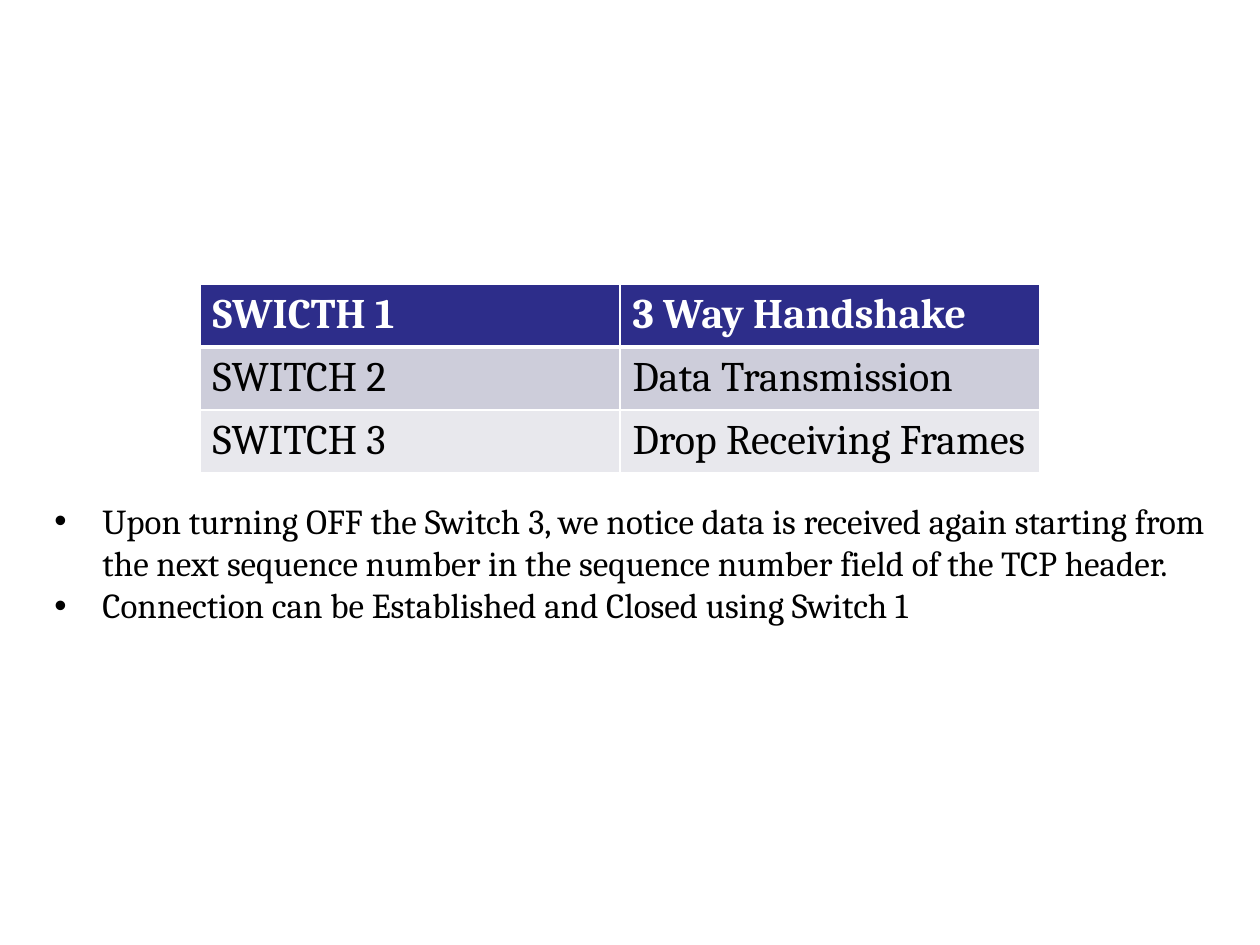
from lxml import etree
from pptx import Presentation
from pptx.dml.color import RGBColor
from pptx.enum.text import PP_ALIGN
from pptx.oxml.ns import qn
from pptx.util import Pt

JUSTIFY = PP_ALIGN.JUSTIFY
PX = 914400 / 126
THEME = {
    "font": "Cambria", "table_size": 24, "notes_size": 20,
    "header": "2D2D8A", "bands": ["CDCDDA", "E8E8ED"],
    "light": "FFFFFF", "dark": "000000",
}


def px(length):
    return round(length * PX)


def style(paragraph, size, color, bold=False):
    for run in paragraph.runs:
        run.font.name = THEME["font"]
        run.font.size = Pt(size)
        run.font.bold = bold
        run.font.color.rgb = RGBColor.from_string(color)


prs = Presentation()
prs.slide_width, prs.slide_height = px(1260), px(945)
slide = prs.slides.add_slide(prs.slide_layouts[6])

# Findings below the table
findings = [
    "Upon turning OFF the Switch 3, we notice data is received again starting from "
    "the next sequence number in the sequence number field of the TCP header.",
    "Connection can be Established and Closed using Switch 1",
]
findings_frame = slide.shapes.add_textbox(px(42), px(189), px(1176), px(703)).text_frame
findings_frame.word_wrap = True
findings_frame.margin_top = px(311)
findings_frame.text = "\n".join(findings)
for finding in findings_frame.paragraphs:
    finding.alignment = JUSTIFY
    style(finding, THEME["notes_size"], THEME["dark"])
    properties = finding._p.get_or_add_pPr()
    properties.set("marL", str(px(48)))
    properties.set("indent", str(px(-48)))
    etree.SubElement(properties, qn("a:buFont"), typeface="Arial")
    etree.SubElement(properties, qn("a:buChar"), char="•")

# Role of each switch
roles = [
    ("SWICTH 1", "3 Way Handshake"),
    ("SWITCH 2", "Data Transmission"),
    ("SWITCH 3", "Drop Receiving Frames"),
]
fills = [THEME["header"], *THEME["bands"]]
role_table = slide.shapes.add_table(3, 2, px(200), px(284), px(840), px(183)).table
for row, role in enumerate(roles):
    is_header = row == 0
    for column, wording in enumerate(role):
        cell = role_table.cell(row, column)
        cell.text = wording
        style(cell.text_frame.paragraphs[0], THEME["table_size"],
              THEME["light"] if is_header else THEME["dark"], is_header)

        # White borders, heavier under the header; they precede the fill in the XML
        cell_properties = cell._tc.get_or_add_tcPr()
        for side in ("L", "R", "T", "B"):
            heavy = (row, side) in ((0, "B"), (1, "T"))
            border = etree.SubElement(cell_properties, qn(f"a:ln{side}"),
                                      w=str(Pt(3 if heavy else 1)))
            border_fill = etree.SubElement(border, qn("a:solidFill"))
            etree.SubElement(border_fill, qn("a:srgbClr"), val=THEME["light"])
        cell.fill.solid()
        cell.fill.fore_color.rgb = RGBColor.from_string(fills[row])

prs.save("out.pptx")
